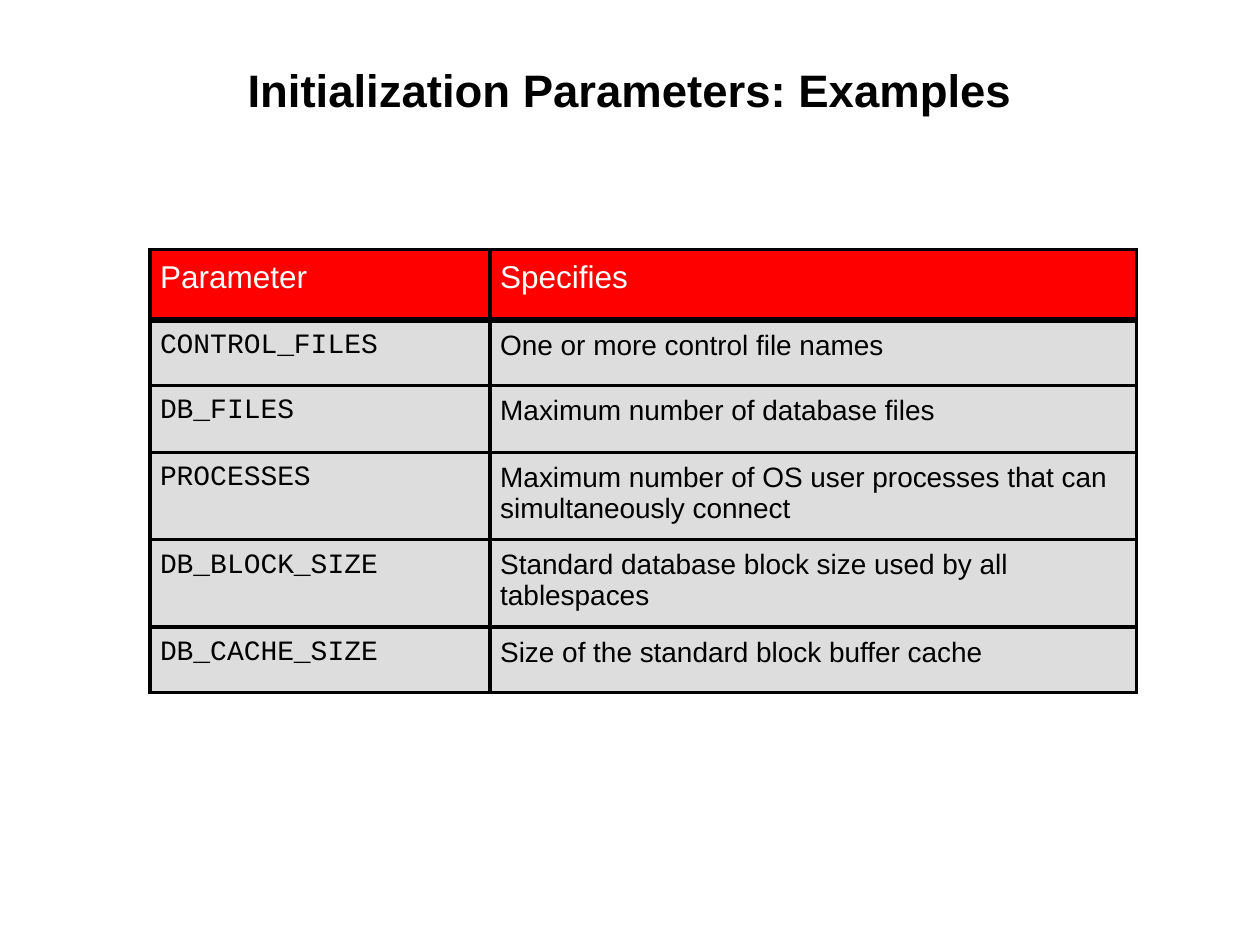
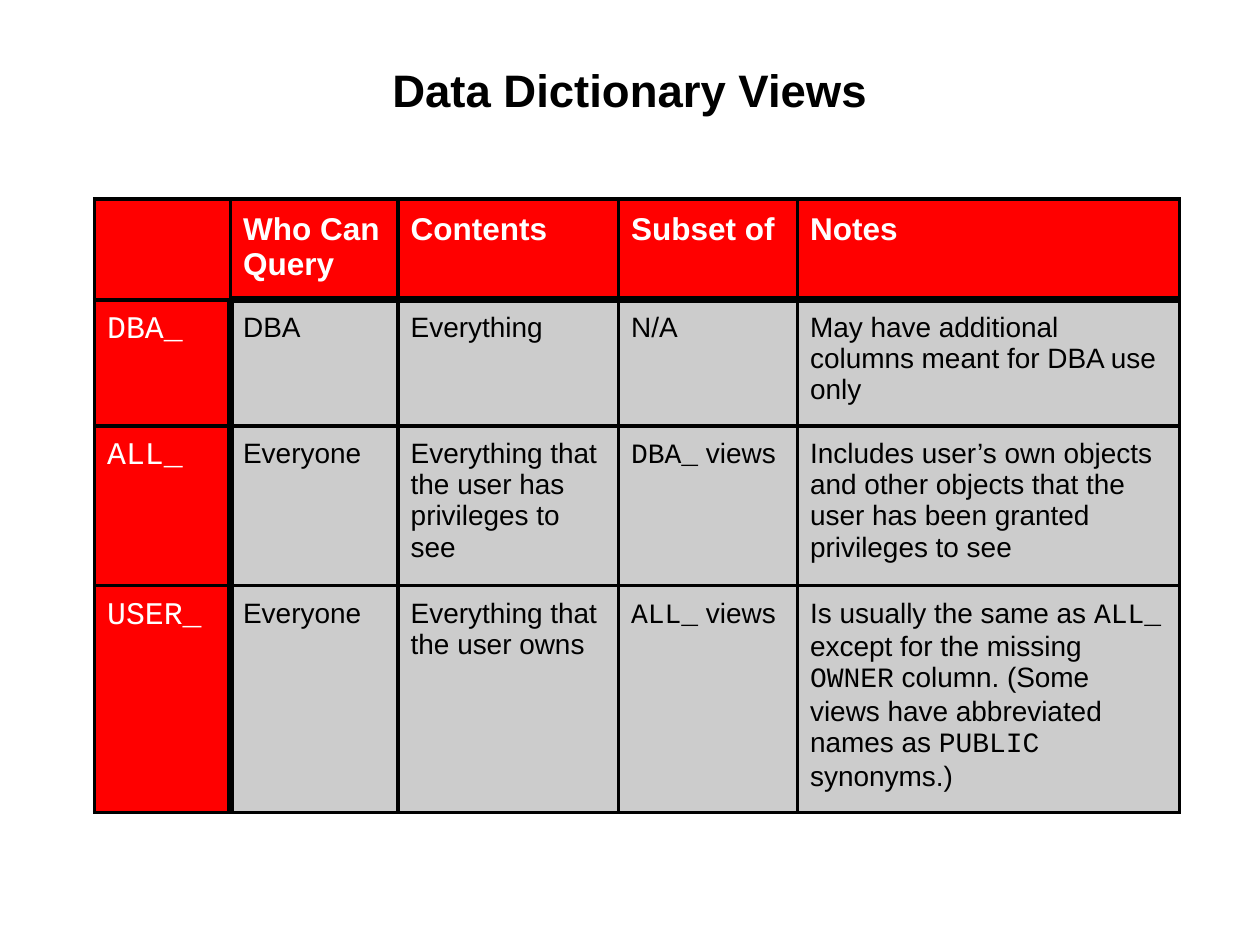
from lxml.etree import SubElement
from pptx import Presentation
from pptx.dml.color import RGBColor
from pptx.enum.text import MSO_ANCHOR, PP_ALIGN
from pptx.oxml.ns import qn
from pptx.util import Inches, Pt

# Content: backticks enclose code
SLIDES = [
    {
        "title": "Initialization Parameters: Examples",
        "left": 1.19, "top": 1.98, "inset": 0.08,
        "columns": [2.7, 5.13],
        "heights": [0.56, 0.52, 0.53, 0.65, 0.65, 0.52],
        "body_fill": "light", "header_bold": False, "row_headers": False,
        "rows": [
            ["Parameter", "Specifies"],
            ["`CONTROL_FILES`", "One or more control file names"],
            ["`DB_FILES`", "Maximum number of database files"],
            ["`PROCESSES`", "Maximum number of OS user processes that can simultaneously connect"],
            ["`DB_BLOCK_SIZE`", "Standard database block size used by all tablespaces"],
            ["`DB_CACHE_SIZE`", "Size of the standard block buffer cache"],
        ],
    },
    {
        "title": "Data Dictionary Views",
        "left": 0.75, "top": 1.58, "inset": 0.1,
        "columns": [1.08, 1.33, 1.75, 1.42, 3.03],
        "heights": [0.76, 0.94, 1.18, 1.74],
        "body_fill": "grey", "header_bold": True, "row_headers": True,
        "rows": [
            ["", "Who Can Query", "Contents", "Subset of", "Notes"],
            ["`DBA_`", "DBA", "Everything", "N/A",
             "May have additional columns meant for DBA use only"],
            ["`ALL_`", "Everyone", "Everything that the user has privileges to see",
             "`DBA_` views",
             "Includes user’s own objects and other objects that the user has been "
             "granted privileges to see"],
            ["`USER_`", "Everyone", "Everything that the user owns", "`ALL_` views",
             "Is usually the same as `ALL_` except for the missing `OWNER` column. "
             "(Some views have abbreviated names as `PUBLIC` synonyms.)"],
        ],
    },
]

# Shared style
COLORS = {"black": "000000", "white": "FFFFFF", "red": "FF0000",
          "light": "DDDDDD", "grey": "CCCCCC"}
TEXT_FONT, CODE_FONT = "Arial", "Courier New"
TITLE_FORMAT = {"size": Pt(26), "bold": True}
HEADER_FORMAT = {"size": Pt(18)}
BODY_FORMAT = {"size": Pt(16), "bold": False}
THIN, THICK = Pt(2.25), Pt(4.5)
MARGINS = ("margin_left", "margin_top", "margin_right", "margin_bottom")


def set_margins(target, inset):
    for margin in MARGINS:
        setattr(target, margin, Inches(inset))


def write_text(paragraph, text, color, font_format):
    """Write text, setting the parts between backticks in the code font."""
    spacing = SubElement(paragraph._p.get_or_add_pPr(), qn("a:spcBef"))
    SubElement(spacing, qn("a:spcPct"), val="20000")
    for index, part in enumerate(text.split("`")):
        if not part:
            continue
        run = paragraph.add_run()
        run.text = part
        run.font.name = CODE_FONT if index % 2 else TEXT_FONT
        run.font.color.rgb = RGBColor.from_string(COLORS[color])
        for name, value in font_format.items():
            setattr(run.font, name, value)


def set_borders(cell, thick_sides):
    properties = cell._tc.get_or_add_tcPr()
    for side in "LRTB":
        width = THICK if side in thick_sides else THIN
        line = SubElement(properties, qn(f"a:ln{side}"), w=str(int(width)))
        fill = SubElement(line, qn("a:solidFill"))
        SubElement(fill, qn("a:srgbClr"), val=COLORS["black"])


def find_thick_sides(row, column, row_headers):
    """Thick rules divide the headers from the body, but skip the corner."""
    sides = ""
    if not (row_headers and column == 0):
        sides += {0: "B", 1: "T"}.get(row, "")
    if row_headers and row > 0:
        sides += {0: "R", 1: "L"}.get(column, "")
    return sides


def add_title(slide, text):
    box = slide.shapes.add_textbox(Inches(0.67), Inches(0.48), Inches(8.66), Inches(0.96))
    frame = box.text_frame
    frame.word_wrap = True
    frame.vertical_anchor = MSO_ANCHOR.TOP
    set_margins(frame, 0.01)
    paragraph = frame.paragraphs[0]
    paragraph.alignment = PP_ALIGN.CENTER
    write_text(paragraph, text, "black", TITLE_FORMAT)


def add_grid(slide, content):
    rows, columns, heights = content["rows"], content["columns"], content["heights"]
    table = slide.shapes.add_table(
        len(rows), len(columns), Inches(content["left"]), Inches(content["top"]),
        Inches(sum(columns)), Inches(sum(heights))).table
    table.first_row = table.horz_banding = False
    for column, width in zip(table.columns, columns):
        column.width = Inches(width)
    for row, height in zip(table.rows, heights):
        row.height = Inches(height)

    for row_index, texts in enumerate(rows):
        for column_index, text in enumerate(texts):
            cell = table.cell(row_index, column_index)
            is_header = row_index == 0 or (content["row_headers"] and column_index == 0)
            set_margins(cell, content["inset"])
            set_borders(cell, find_thick_sides(row_index, column_index, content["row_headers"]))
            cell.fill.solid()
            fill = "red" if is_header else content["body_fill"]
            cell.fill.fore_color.rgb = RGBColor.from_string(COLORS[fill])
            bold = content["header_bold"] and row_index == 0
            font_format = {**HEADER_FORMAT, "bold": bold} if is_header else BODY_FORMAT
            write_text(cell.text_frame.paragraphs[0], text,
                       "white" if is_header else "black", font_format)


def main():
    presentation = Presentation()
    presentation.slide_width, presentation.slide_height = Inches(10), Inches(7.5)
    for content in SLIDES:
        slide = presentation.slides.add_slide(presentation.slide_layouts[6])
        add_title(slide, content["title"])
        add_grid(slide, content)
    presentation.save("out.pptx")


if __name__ == "__main__":
    main()
